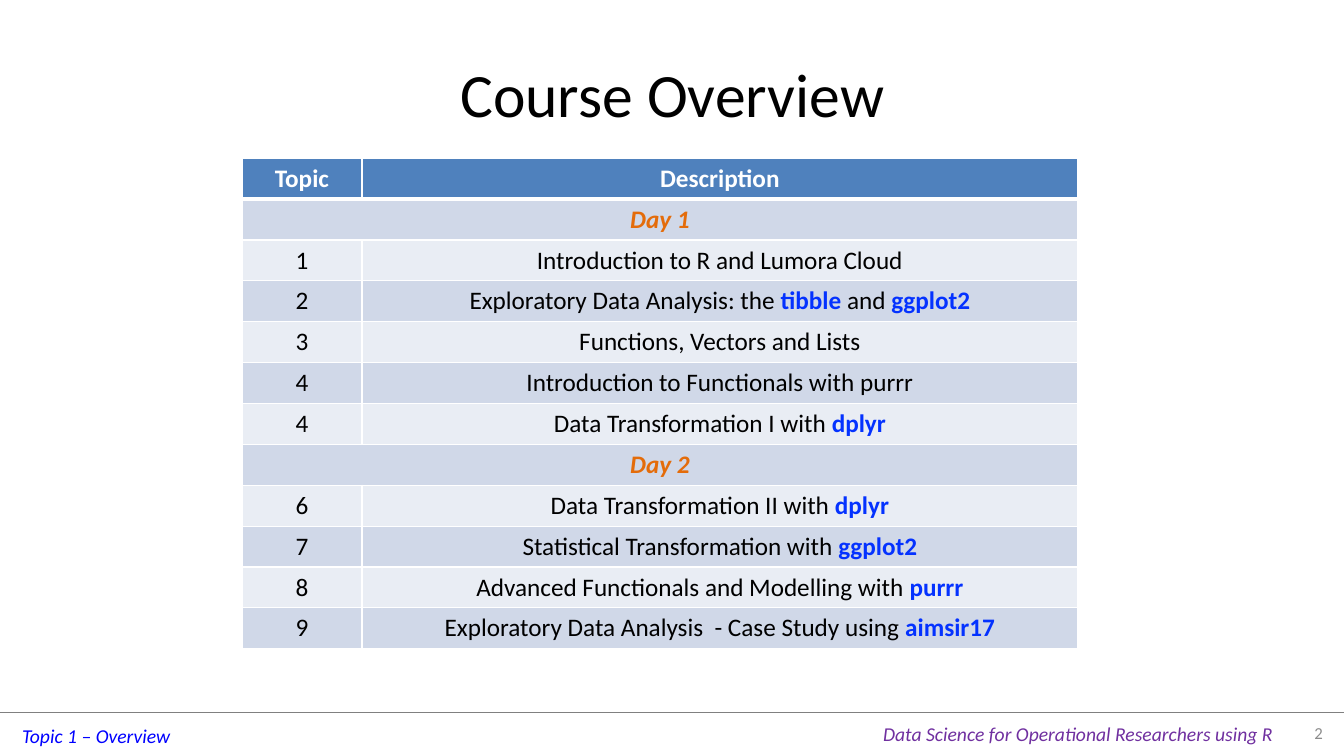
from dataclasses import dataclass

from lxml import etree
from pptx import Presentation
from pptx.dml.color import RGBColor
from pptx.enum import shapes, text
from pptx.oxml import ns
from pptx.util import Inches, Pt

WHITE = RGBColor(0xFF, 0xFF, 0xFF)
BLACK = RGBColor(0x00, 0x00, 0x00)
RULE_GREY = RGBColor(0x80, 0x80, 0x80)
NUMBER_GREY = RGBColor(0x8C, 0x8C, 0x8C)
TOPIC_BLUE = RGBColor(0x00, 0x00, 0xFF)
COURSE_PURPLE = RGBColor(0x70, 0x30, 0xA0)
PACKAGE_BLUE = RGBColor(0x04, 0x32, 0xFF)
DAY_ORANGE = RGBColor(0xE4, 0x6C, 0x0A)
HEADER_FILL = RGBColor(0x4F, 0x81, 0xBD)
BAND_FILLS = (RGBColor(0xD0, 0xD8, 0xE8), RGBColor(0xE9, 0xED, 0xF4))

LEFT, CENTER, RIGHT = (
    text.PP_ALIGN.LEFT, text.PP_ALIGN.CENTER, text.PP_ALIGN.RIGHT)


@dataclass
class Topic:
    number: str
    description: str


@dataclass
class Day:
    name: str
    topics: list[Topic]


@dataclass
class FooterLabel:
    wording: str
    left: float
    top: float
    width: float
    height: float
    size: float
    color: RGBColor
    italic: bool = True
    align: text.PP_ALIGN = LEFT
    anchor: text.MSO_ANCHOR = text.MSO_ANCHOR.TOP


DAYS = [
    Day("Day 1", [
        Topic("1", "Introduction to R and Lumora Cloud"),
        Topic("2", "Exploratory Data Analysis: the *tibble* and *ggplot2*"),
        Topic("3", "Functions, Vectors and Lists"),
        Topic("4", "Introduction to Functionals with purrr"),
        Topic("4", "Data Transformation I with *dplyr*"),
    ]),
    Day("Day 2", [
        Topic("6", "Data Transformation II with *dplyr*"),
        Topic("7", "Statistical Transformation with *ggplot2*"),
        Topic("8", "Advanced Functionals and Modelling with *purrr*"),
        Topic("9", "Exploratory Data Analysis  - Case Study using *aimsir17*"),
    ]),
]

FOOTER = [
    FooterLabel("Topic 1 – Overview", 0.12, 7.13, 1.68, 0.34, 14, TOPIC_BLUE),
    FooterLabel("Data Science for Operational Researchers using R",
                8.66, 7.11, 4.11, 0.34, 14, COURSE_PURPLE),
    FooterLabel("2", 12.67, 7.07, 0.55, 0.39, 12, NUMBER_GREY, italic=False,
                align=RIGHT, anchor=text.MSO_ANCHOR.MIDDLE),
]


def write(frame, wording: str, *, size: float = 18, color: RGBColor = BLACK,
          bold: bool = False, italic: bool = False,
          align: text.PP_ALIGN = CENTER) -> None:
    paragraph = frame.paragraphs[0]
    paragraph.alignment = align
    for index, part in enumerate(wording.split("*")):
        if not part:
            continue
        is_package = index % 2 == 1
        run = paragraph.add_run()
        run.text = part
        run.font.name = "Calibri"
        run.font.size = Pt(size)
        run.font.bold = bold or is_package
        run.font.italic = italic
        run.font.color.rgb = PACKAGE_BLUE if is_package else color


def style_cell(cell, fill: RGBColor, top: float = 1, bottom: float = 1) -> None:
    cell.fill.solid()
    cell.fill.fore_color.rgb = fill
    properties = cell._tc.get_or_add_tcPr()
    widths = {"a:lnL": 1, "a:lnR": 1, "a:lnT": top, "a:lnB": bottom}
    for position, (edge, width) in enumerate(widths.items()):
        border = etree.Element(ns.qn(edge), w=str(Pt(width)))
        solid = etree.SubElement(border, ns.qn("a:solidFill"))
        etree.SubElement(solid, ns.qn("a:srgbClr"), val=str(WHITE))
        properties.insert(position, border)


def add_footer_label(slide, label: FooterLabel) -> None:
    box = slide.shapes.add_textbox(Inches(label.left), Inches(label.top),
                                   Inches(label.width), Inches(label.height))
    frame = box.text_frame
    frame.word_wrap = False
    frame.vertical_anchor = label.anchor
    write(frame, label.wording, size=label.size, color=label.color,
          italic=label.italic, align=label.align)


def add_footer_rule(slide) -> None:
    rule = slide.shapes.add_connector(
        shapes.MSO_CONNECTOR.STRAIGHT,
        Inches(0), Inches(7.07), Inches(13.33), Inches(7.07))
    rule.line.color.rgb = RULE_GREY
    rule.line.width = Pt(0.25)
    etree.SubElement(rule._element.spPr, ns.qn("a:effectLst"))


def add_schedule(slide, days: list[Day]) -> None:
    row_count = 1 + sum(1 + len(day.topics) for day in days)
    schedule = slide.shapes.add_table(
        row_count, 2, Inches(2.4), Inches(1.57),
        Inches(8.29), Inches(4.87)).table
    for column, width in zip(schedule.columns, (1.19, 7.1)):
        column.width = Inches(width)

    for row in range(row_count):
        for column in range(2):
            cell = schedule.cell(row, column)
            if row == 0:
                style_cell(cell, HEADER_FILL, bottom=3)
            else:
                style_cell(cell, BAND_FILLS[(row - 1) % 2],
                           top=3 if row == 1 else 1)

    for column, heading in enumerate(("Topic", "Description")):
        write(schedule.cell(0, column).text_frame, heading,
              color=WHITE, bold=True)

    row = 1
    for day in days:
        day_cell = schedule.cell(row, 0)
        day_cell.merge(schedule.cell(row, 1))
        write(day_cell.text_frame, day.name,
              color=DAY_ORANGE, bold=True, italic=True)
        for row, topic in enumerate(day.topics, start=row + 1):
            write(schedule.cell(row, 0).text_frame, topic.number)
            write(schedule.cell(row, 1).text_frame, topic.description)
        row += 1


def main() -> None:
    deck = Presentation()
    deck.slide_width, deck.slide_height = Inches(13.33), Inches(7.5)
    slide = deck.slides.add_slide(deck.slide_layouts[5])

    add_footer_rule(slide)
    for label in FOOTER:
        add_footer_label(slide, label)

    title = slide.shapes.title
    title.left, title.top = Inches(0.67), Inches(0.3)
    title.width, title.height = Inches(12), Inches(1.25)
    title.text_frame.vertical_anchor = text.MSO_ANCHOR.MIDDLE
    write(title.text_frame, "Course Overview", size=44)

    add_schedule(slide, DAYS)
    deck.save("out.pptx")


main()
